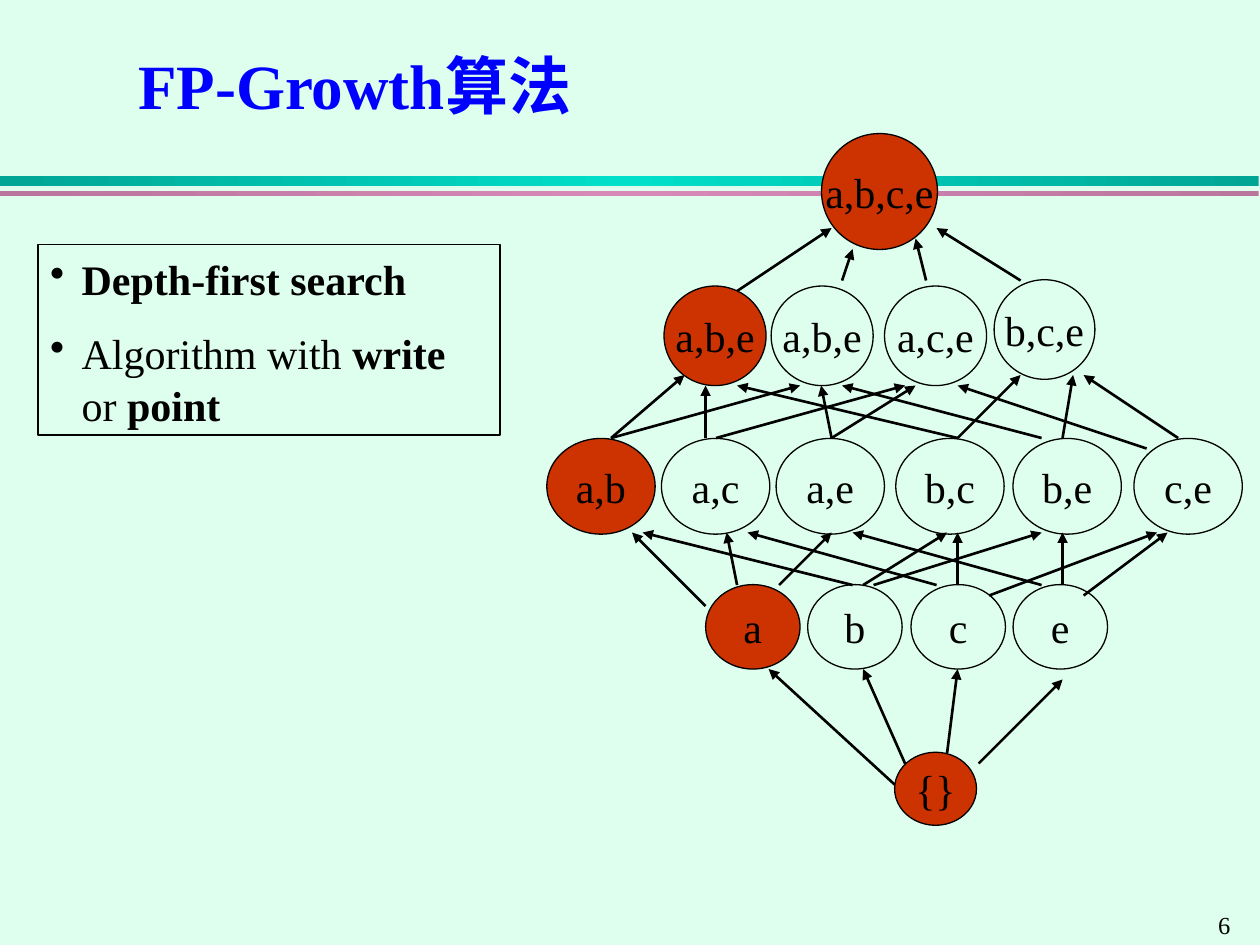
import copy
from dataclasses import dataclass

import lxml.etree
import pptx
import pptx.dml.color
import pptx.enum.shapes
import pptx.enum.text
import pptx.oxml.ns
import pptx.util

SHAPE = pptx.enum.shapes.MSO_SHAPE
ALIGN = pptx.enum.text.PP_ALIGN
ANCHOR = pptx.enum.text.MSO_ANCHOR


@dataclass(frozen=True)
class Theme:
    font: str = "Times New Roman"
    background: str = "DEFEEE"
    ink: str = "000000"
    title: str = "0000FF"
    visited: str = "CC3300"
    teal: tuple = ("00A595", "00DFCA")
    pink: tuple = ("BA759D", "D989B8")
    title_size: int = 36
    body_size: int = 24
    number_size: int = 14
    node_line: float = 0.75
    box_line: float = 1
    arrow_line: float = 1.5


THEME = Theme()
CELLS_PER_INCH = 12
GRID_LEFT, GRID_TOP = 0.1, 0.06

# Each level: top, width, height, then (label, left, visited) for its nodes.
LEVELS = [
    (3.48, 0.86, 0.76, [("a,b", 4.34, True), ("a,c", 5.25, False), ("a,e", 6.16, False),
                        ("b,c", 7.11, False), ("b,e", 8.04, False), ("c,e", 9, False)]),
    (2.27, 0.81, 0.79, [("a,b,e", 5.27, True), ("a,b,e", 6.12, False),
                        ("a,c,e", 7.02, False)]),
    (2.22, 0.8, 0.79, [("b,c,e", 7.89, False)]),
    (4.64, 0.75, 0.67, [("a", 5.6, True), ("b", 6.41, False),
                        ("c", 7.23, False), ("e", 8.04, False)]),
    (1.06, 0.92, 0.92, [("a,b,c,e", 6.52, True)]),
    (5.97, 0.65, 0.58, [("{}", 7.1, True)]),
]

# Arrows as (column, row, column, row) of the grid, from the lower set to the upper one.
EMPTY_TO_SINGLES = [(92, 72, 100, 64), (89, 71, 90, 63), (85, 72, 81, 63), (84, 74, 72, 63)]
SINGLES_TO_PAIRS = [
    (66, 57, 59, 50), (69, 55, 68, 50), (73, 55, 78, 50), (81, 55, 89, 50),
    (80, 55, 60, 50), (82, 55, 98, 50), (88, 55, 70, 50), (90, 55, 90, 50),
    (93, 56, 109, 50), (98, 55, 80, 50), (100, 55, 100, 50), (102, 56, 110, 50),
]
PAIRS_TO_TRIPLES = [
    (57, 41, 64, 35), (57, 41, 75, 36), (66, 41, 66, 36), (67, 41, 85, 36),
    (78, 41, 77, 36), (78, 41, 86, 36), (90, 41, 69, 36), (90, 41, 96, 35),
    (98, 41, 79, 36), (100, 41, 101, 35), (108, 42, 90, 36), (111, 41, 102, 35),
]
TRIPLES_TO_TOP = [(69, 27, 78, 21), (79, 26, 80, 23), (87, 26, 86, 22), (96, 26, 88, 21)]


def rgb(value):
    return pptx.dml.color.RGBColor.from_string(value)


def inches(*values):
    return [pptx.util.Inches(value) for value in values]


def grid_point(column, row):
    return inches(GRID_LEFT + column / CELLS_PER_INCH, GRID_TOP + row / CELLS_PER_INCH)


def add_run(paragraph, text, size=THEME.body_size, color=THEME.ink, bold=False):
    run = paragraph.add_run()
    run.text = text
    run.font.name = THEME.font
    run.font.size = pptx.util.Pt(size)
    run.font.color.rgb = rgb(color)
    run.font.bold = bold


def add_preset(slide, kind, box):
    """Add a preset shape without shadow, fill or line."""
    shape = slide.shapes.add_shape(kind, *inches(*box))
    shape.shadow.inherit = False
    shape.fill.background()
    shape.line.fill.background()
    return shape


def set_outline(shape, width):
    shape.line.color.rgb = rgb(THEME.ink)
    shape.line.width = pptx.util.Pt(width)


def add_band(slide, top, height, colors):
    """Add a full-width stripe that is lightest in its middle."""
    edge, middle = colors
    band = add_preset(slide, SHAPE.RECTANGLE, (0, top, 9.99, height))
    band.fill.gradient()
    band.fill.gradient_angle = 0
    first, second = band.fill.gradient_stops
    first.position, second.position = 0, 0.5
    first.color.rgb, second.color.rgb = rgb(edge), rgb(middle)
    stops = band.element.spPr.find(".//" + pptx.oxml.ns.qn("a:gsLst"))
    last = copy.deepcopy(stops[0])
    last.set("pos", "100000")
    stops.append(last)


def add_node(slide, label, box, visited):
    node = add_preset(slide, SHAPE.OVAL, box)
    set_outline(node, THEME.node_line)
    if visited:
        node.fill.solid()
        node.fill.fore_color.rgb = rgb(THEME.visited)
    frame = node.text_frame
    frame.word_wrap = False
    frame.vertical_anchor = ANCHOR.MIDDLE
    paragraph = frame.paragraphs[0]
    paragraph.alignment = ALIGN.CENTER
    add_run(paragraph, label)


def add_arrow(slide, start_column, start_row, end_column, end_row):
    arrow = slide.shapes.add_connector(
        pptx.enum.shapes.MSO_CONNECTOR.STRAIGHT,
        *grid_point(start_column, start_row), *grid_point(end_column, end_row))
    set_outline(arrow, THEME.arrow_line)
    head = lxml.etree.SubElement(arrow.line._get_or_add_ln(), pptx.oxml.ns.qn("a:tailEnd"))
    head.set("type", "triangle")
    lxml.etree.SubElement(arrow.element.spPr, pptx.oxml.ns.qn("a:effectLst"))


def add_text(slide, box, text, wrap=True, anchor=ANCHOR.TOP, **style):
    frame = slide.shapes.add_textbox(*inches(*box)).text_frame
    frame.word_wrap = wrap
    frame.vertical_anchor = anchor
    add_run(frame.paragraphs[0], text, **style)


def add_bullet(paragraph, indent):
    properties = paragraph._p.get_or_add_pPr()
    properties.set("marL", str(pptx.util.Inches(indent)))
    properties.set("indent", str(-pptx.util.Inches(indent)))
    lxml.etree.SubElement(properties, pptx.oxml.ns.qn("a:buChar")).set("char", "•")


def add_bullet_box(slide, box, items):
    """Add an outlined list; each item is a list of (text, bold) runs."""
    shape = add_preset(slide, SHAPE.RECTANGLE, box)
    set_outline(shape, THEME.box_line)
    frame = shape.text_frame
    frame.word_wrap = True
    frame.vertical_anchor = ANCHOR.TOP
    for index, runs in enumerate(items):
        paragraph = frame.add_paragraph() if index else frame.paragraphs[0]
        add_bullet(paragraph, 0.25)
        paragraph.alignment = ALIGN.LEFT
        paragraph.line_spacing = 1.05
        if index:
            paragraph.space_before = pptx.util.Pt(THEME.body_size / 2)
        for text, bold in runs:
            add_run(paragraph, text, bold=bold)


def main():
    presentation = pptx.Presentation()
    presentation.slide_width, presentation.slide_height = inches(10, 7.5)
    slide = presentation.slides.add_slide(presentation.slide_layouts[6])
    slide.background.fill.solid()
    slide.background.fill.fore_color.rgb = rgb(THEME.background)

    add_band(slide, 1.4, 0.08, THEME.teal)
    add_band(slide, 1.52, 0.04, THEME.pink)
    add_text(slide, (9.57, 7.17, 0.43, 0.33), "6", wrap=False, size=THEME.number_size)
    for top, width, height, nodes in LEVELS:
        for label, left, visited in nodes:
            add_node(slide, label, (left, top, width, height), visited)
    add_text(slide, (1, 0.29, 9, 0.76), "FP-Growth算法", anchor=ANCHOR.MIDDLE,
             size=THEME.title_size, color=THEME.title, bold=True)
    for arrow in EMPTY_TO_SINGLES + SINGLES_TO_PAIRS + PAIRS_TO_TRIPLES + TRIPLES_TO_TOP:
        add_arrow(slide, *arrow)
    add_bullet_box(slide, (0.3, 1.94, 3.67, 1.51), [
        [("Depth-first search", True)],
        [("Algorithm with ", False), ("write", True), (" or ", False), ("point", True)],
    ])
    presentation.save("out.pptx")


if __name__ == "__main__":
    main()
